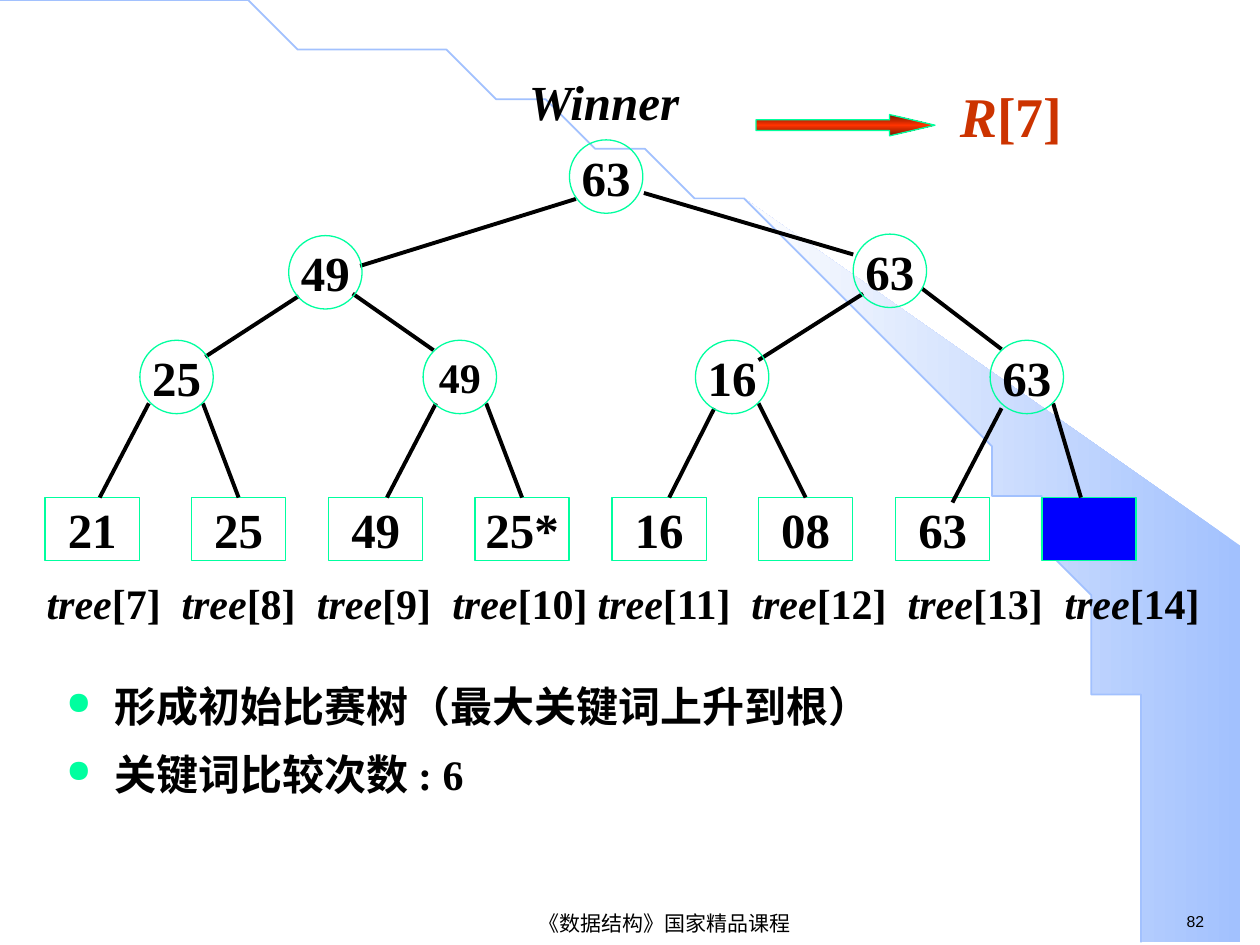
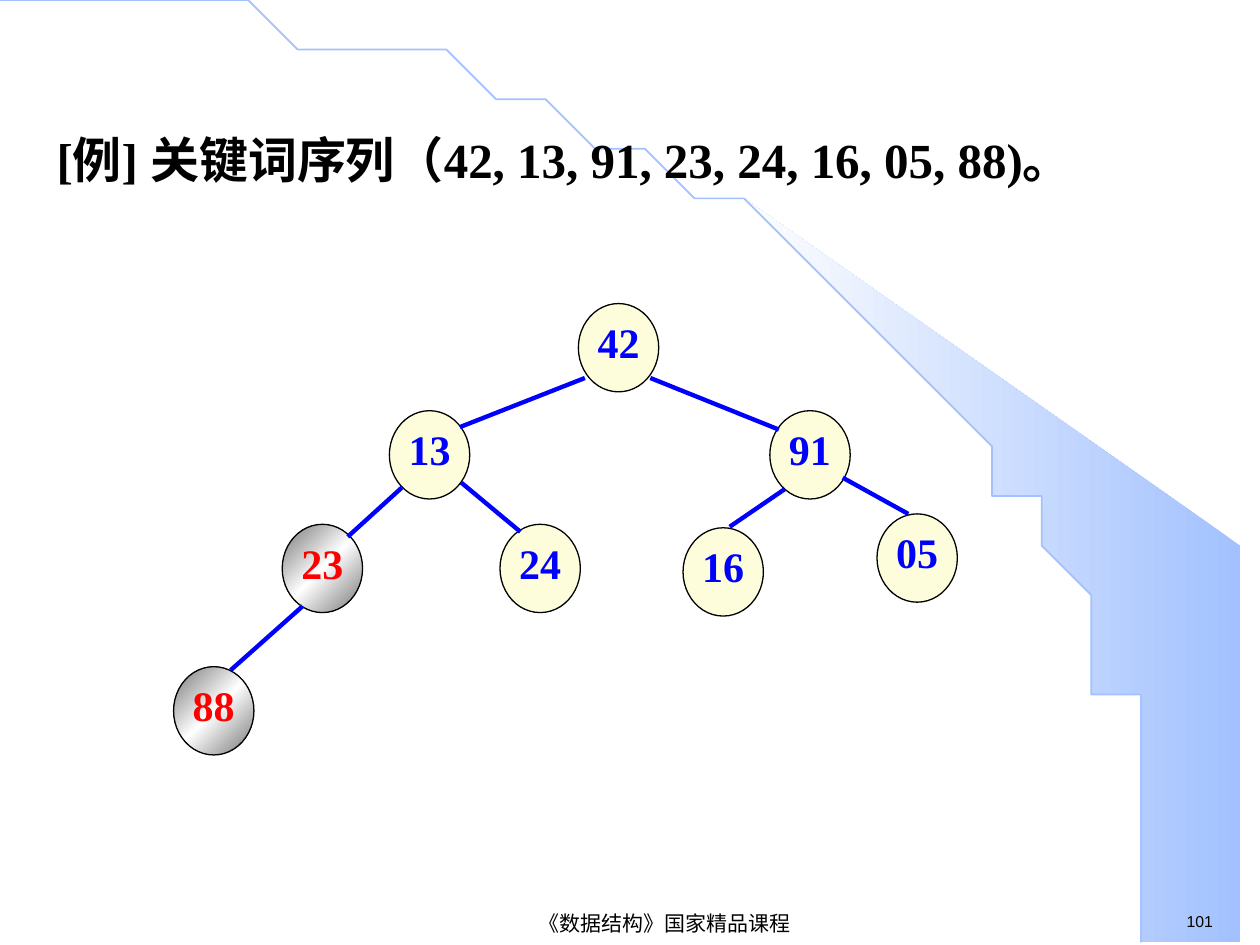
"""Build two slides on tournament and heap trees."""
import math

import pptx
import pptx.util
import pptx.dml.color
import pptx.enum.shapes
import pptx.enum.text
import pptx.oxml.ns
from lxml import etree

Cm, Pt = pptx.util.Cm, pptx.util.Pt
qn = pptx.oxml.ns.qn
SHAPE = pptx.enum.shapes.MSO_SHAPE
ANCHOR = pptx.enum.text.MSO_ANCHOR
ALIGN = pptx.enum.text.PP_ALIGN


class Theme:
    serif, sans = "Times New Roman", "Arial"
    black, blue, red, rust = "000000", "0000FF", "FF0000", "CC3300"
    mint, cream, sky = "00FF9F", "FDFDDB", "A2C1FE"
    fade = [sky, "FEFEFE"]
    flame = ["751700", "FF3300", "751700"]
    steel = ["757575", "FFFFFF", "757575"]
    tiny, small, body, head, huge = 9, 12, 24, 28, 32


FOOTER = "《数据结构》国家精品课程"
PAGES = "82", "101"
ARC = 23.37, 19.02
CORNERS = [(25.37, 19.02), (25.37, 10.74)]

WINNER, RESULT = "_Winner_", "_R_[7]"
POINTS = ["形成初始比赛树（最大关键词上升到根）", "关键词比较次数 : 6"]
LEAVES = ["21", "25", "49", "25*", "16", "08", "63", ""]
INDEX = "\t".join(f"_tree_[{n}]" for n in range(7, 15))
STOPS = [2.72, 5.45, 8.18, 11.11, 14.21, 17.36, 20.52]
LEAF_TOP, LEAF_W, LEAF_H = 10.03, 1.9, 1.27
PAIR, MATE = 5.715, 2.95
MATCHES = [
    ("63", 11.48, 2.82, Theme.head),
    ("49", 5.82, 4.75, Theme.head),
    ("63", 17.2, 4.72, Theme.head),
    ("25", 2.82, 6.86, Theme.head),
    ("49", 8.53, 6.86, Theme.body),
    ("16", 14.02, 6.86, Theme.head),
    ("63", 19.96, 6.86, Theme.head),
]
MATCH_EDGES = [
    (12.98, 3.89, 17.2, 5.13), (11.61, 4.01, 7.26, 5.36),
    (6.02, 5.97, 4.14, 7.19), (7.11, 5.92, 8.74, 7.06),
    (17.4, 5.92, 15.29, 7.26), (18.59, 5.82, 20.19, 7.04),
    (3, 8.13, 2.01, 10.03), (4.09, 8.13, 4.9, 10.03),
    (8.79, 8.13, 7.8, 10.03), (9.8, 8.13, 10.59, 10.03),
    (14.4, 8.23, 13.49, 10.03), (15.29, 8.13, 16.21, 10.03),
    (20.19, 8.23, 19.2, 10.13), (21.23, 8.13, 21.79, 10.03),
]

EXAMPLE = "[例] 关键词序列（42, 13, 91, 23, 24, 16, 05, 88)。"
KEYS = [
    ("42", 11.66, 6.12), ("13", 7.85, 8.28), ("91", 15.52, 8.28),
    ("23", 5.69, 10.57), ("24", 10.08, 10.57), ("16", 13.77, 10.64),
    ("05", 17.68, 10.36), ("88", 3.5, 13.44),
]
ACTIVE = {"23", "88"}
KEY_EDGES = [
    (11.79, 7.62, 9.27, 8.61), (13.11, 7.62, 15.7, 8.66),
    (8.1, 9.83, 7.01, 10.82), (9.3, 9.73, 10.49, 10.72),
    (15.82, 9.86, 14.71, 10.62), (16.99, 9.63, 18.31, 10.36),
    (6.1, 12.22, 4.65, 13.51),
]


def rgb(code):
    return pptx.dml.color.RGBColor.from_string(code)


def write(shape, *paras, size=Theme.body, color=Theme.black, font=Theme.serif,
          bold=True, align=ALIGN.LEFT, anchor=ANCHOR.TOP, inset=(0.25, 0.13),
          spacing=None, bullet=None, stops=()):
    frame = shape.text_frame
    frame.word_wrap = True
    frame.auto_size = pptx.enum.text.MSO_AUTO_SIZE.NONE
    frame.vertical_anchor = anchor
    frame.margin_left = frame.margin_right = Cm(inset[0])
    frame.margin_top = frame.margin_bottom = Cm(inset[1])
    for n, text in enumerate(paras):
        para = frame.add_paragraph() if n else frame.paragraphs[0]
        para.alignment = align
        if spacing:
            para.line_spacing = spacing
        props = para._p.get_or_add_pPr()
        if bullet:
            mark(props, bullet)
        if stops:
            tabs = etree.SubElement(props, qn("a:tabLst"))
            for stop in stops:
                etree.SubElement(tabs, qn("a:tab"), pos=str(Cm(stop)), algn="l")
        for k, part in enumerate(text.split("_")):
            if part:
                run = para.add_run()
                run.text = part
                run.font.name, run.font.size = font, Pt(size)
                run.font.bold, run.font.italic = bold, k % 2 == 1
                run.font.color.rgb = rgb(color)


def mark(props, color):
    props.set("marL", str(Cm(0.97)))
    props.set("indent", str(-Cm(0.97)))
    tint = etree.SubElement(props, qn("a:buClr"))
    etree.SubElement(tint, qn("a:srgbClr"), val=color)
    etree.SubElement(props, qn("a:buSzPct"), val="75000")
    etree.SubElement(props, qn("a:buChar"), char="●")


def label(slide, box, *paras, **look):
    write(slide.shapes.add_textbox(*map(Cm, box)), *paras, **look)


def blend(shape, colors, angle):
    shape.fill.gradient()
    grad = shape._element.spPr.find(qn("a:gradFill"))
    grad.find(qn("a:lin")).set("ang", str(angle * 60000))
    stops = grad.find(qn("a:gsLst"))
    for old in list(stops):
        stops.remove(old)
    for n, color in enumerate(colors):
        pos = str(100000 * n // (len(colors) - 1))
        stop = etree.SubElement(stops, qn("a:gs"), pos=pos)
        etree.SubElement(stop, qn("a:srgbClr"), val=color)


def paint(shape, fill=None, line=None, width=0.75, angle=0):
    shape.shadow.inherit = False
    if isinstance(fill, list):
        blend(shape, fill, angle)
    elif fill:
        shape.fill.solid()
        shape.fill.fore_color.rgb = rgb(fill)
    else:
        shape.fill.background()
    if line:
        shape.line.color.rgb = rgb(line)
        shape.line.width = Pt(width)
    else:
        shape.line.fill.background()
    return shape


def draw(slide, kind, box, **look):
    return paint(slide.shapes.add_shape(kind, *map(Cm, box)), **look)


def trace(slide, points, close, **look):
    pen = slide.shapes.build_freeform(*points[0], scale=float(Cm(1)))
    pen.add_line_segments(points[1:], close=close)
    paint(pen.convert_to_shape(), **look)


def join(slide, ends, color, width):
    line = slide.shapes.add_connector(
        pptx.enum.shapes.MSO_CONNECTOR.STRAIGHT, *map(Cm, ends))
    line.line.color.rgb = rgb(color)
    line.line.width = Pt(width)
    etree.SubElement(line._element.spPr, qn("a:effectLst"))
    return line


def curve(start):
    turns = [math.radians(a) for a in range(start, 91, 2)]
    return [(ARC[0] * math.sin(t), ARC[1] * (1 - math.cos(t))) for t in turns]


def begin(deck, layout, page):
    slide = deck.slides.add_slide(deck.slide_layouts[layout])
    trace(slide, curve(40) + CORNERS, True, fill=Theme.fade, angle=180)
    trace(slide, curve(0), False, line=Theme.sky, width=1)
    label(slide, (23.67, 18.26, 1.7, 0.64), page,
          size=Theme.tiny, font=Theme.sans, bold=False)
    label(slide, (6.1, 18.31, 14.6, 0.61), FOOTER, size=Theme.small,
          font=Theme.sans, bold=False, align=ALIGN.CENTER, anchor=ANCHOR.MIDDLE)
    return slide


def contest(deck):
    slide = begin(deck, 6, PAGES[0])
    label(slide, (1.09, 13.23, 23.65, 3.91), *POINTS, spacing=1.35,
          align=ALIGN.JUSTIFY, bullet=Theme.mint)
    mid = dict(align=ALIGN.CENTER, anchor=ANCHOR.MIDDLE, inset=(0, 0))
    leaves = []
    for n, key in enumerate(LEAVES):
        left = 0.91 + n // 2 * PAIR + n % 2 * MATE
        leaf = draw(slide, SHAPE.RECTANGLE, (left, LEAF_TOP, LEAF_W, LEAF_H),
                    fill=None if key else Theme.blue, line=Theme.mint)
        write(leaf, key, size=Theme.head, **mid)
        leaves.append(leaf)
    for ends in MATCH_EDGES:
        edge = join(slide, ends, Theme.black, 2.25)
        for leaf in leaves:
            gap = leaf.left + leaf.width / 2 - edge.end_x
            if edge.end_y == leaf.top and abs(gap) < Cm(0.1):
                edge.end_connect(leaf, 0)
    for key, left, top, size in MATCHES:
        node = draw(slide, SHAPE.OVAL, (left, top, 1.48, 1.48), line=Theme.mint)
        write(node, key, size=size, **mid)
    label(slide, (10.41, 1.32, 3.81, 1.45), WINNER, size=Theme.head)
    label(slide, (0.69, 11.51, 23.93, 1.27), INDEX, stops=STOPS)
    arrow = draw(slide, SHAPE.RIGHT_ARROW, (15.24, 2.31, 3.61, 0.43),
                 fill=Theme.flame, line=Theme.mint, angle=90)
    arrow.adjustments[0], arrow.adjustments[1] = 0.5, 2.13
    label(slide, (19.1, 1.52, 2.7, 1.63), RESULT, size=Theme.huge, color=Theme.rust)


def heap(deck):
    slide = begin(deck, 5, PAGES[1])
    title = slide.shapes.title
    slide.shapes._spTree.append(title._element)
    title.left, title.top, title.width, title.height = map(Cm, (0.89, 2.31, 23.9, 15.7))
    write(title, EXAMPLE, size=Theme.head, spacing=1.15)
    for key, left, top in KEYS:
        hot = key in ACTIVE
        node = draw(slide, SHAPE.OVAL, (left, top, 1.62, 1.78), line=Theme.black,
                    fill=Theme.steel if hot else Theme.cream, angle=225)
        write(node, key, color=Theme.red if hot else Theme.blue,
              align=ALIGN.CENTER, inset=(0, 0))
    for ends in KEY_EDGES:
        join(slide, ends, Theme.blue, 2.5)


def main():
    deck = pptx.Presentation()
    deck.slide_width, deck.slide_height = Cm(25.4), Cm(19.05)
    contest(deck)
    heap(deck)
    deck.save("out.pptx")


if __name__ == "__main__":
    main()
